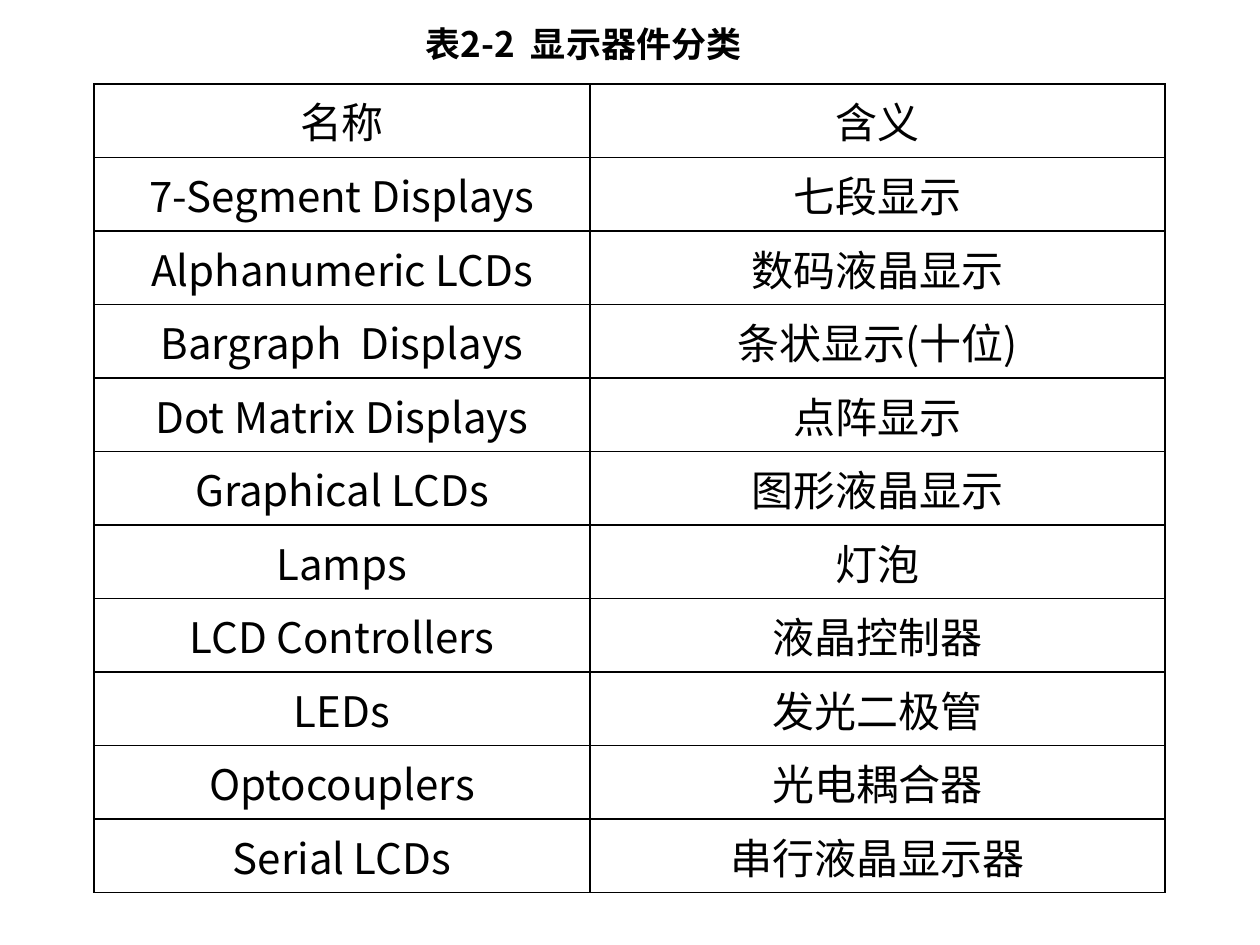
from typing import NamedTuple

from lxml import etree
from pptx import Presentation
from pptx.dml.color import RGBColor
from pptx.enum.text import MSO_ANCHOR, MSO_AUTO_SIZE, PP_ALIGN
from pptx.oxml.ns import qn
from pptx.util import Pt

LEFT, CENTER = PP_ALIGN.LEFT, PP_ALIGN.CENTER
MIDDLE = MSO_ANCHOR.MIDDLE
GROW = MSO_AUTO_SIZE.SHAPE_TO_FIT_TEXT
TITLE_ONLY = 5

PX_PER_INCH = 126
EMU_PER_PX = 914400 / PX_PER_INCH
COLORS = {"ink": "000000", "paper": "FFFFFF"}
FONT = "Noto Sans CJK SC"


class Device(NamedTuple):
    name: str
    meaning: str


CAPTION = "表2-2  显示器件分类"
DEVICES = [
    Device("名称", "含义"),
    Device("7-Segment Displays", "七段显示"),
    Device("Alphanumeric LCDs", "数码液晶显示"),
    Device("Bargraph  Displays", "条状显示(十位)"),
    Device("Dot Matrix Displays", "点阵显示"),
    Device("Graphical LCDs", "图形液晶显示"),
    Device("Lamps", "灯泡"),
    Device("LCD Controllers", "液晶控制器"),
    Device("LEDs", "发光二极管"),
    Device("Optocouplers", "光电耦合器"),
    Device("Serial LCDs", "串行液晶显示器"),
]
COLUMN_WIDTHS = (496, 575)
TABLE_HEIGHT = 809
HANGING_INDENT = 48


def px(length: int) -> int:
    return round(length * EMU_PER_PX)


def apply(target, values: dict) -> None:
    for attribute, value in values.items():
        setattr(target, attribute, value)


def write(paragraph, text: str, align, **font_values) -> None:
    paragraph.alignment = align
    run = paragraph.add_run()
    run.text = text
    apply(run.font, {"name": FONT, **font_values})
    run.font.color.rgb = RGBColor.from_string(COLORS["ink"])
    etree.SubElement(run.font._element, qn("a:ea"), typeface=FONT)


def add_borders(cell) -> None:
    properties = cell._tc.get_or_add_tcPr()
    for position, side in enumerate(("lnL", "lnR", "lnT", "lnB")):
        line = etree.Element(qn(f"a:{side}"), w=str(Pt(1)))
        fill = etree.SubElement(line, qn("a:solidFill"))
        etree.SubElement(fill, qn("a:srgbClr"), val=COLORS["ink"])
        properties.insert(position, line)


def fill_cell(cell, text: str) -> None:
    cell.vertical_anchor = MIDDLE
    cell.fill.background()
    add_borders(cell)
    paragraph = cell.text_frame.paragraphs[0]
    write(paragraph, text, CENTER, size=Pt(24), bold=False)
    indent = px(HANGING_INDENT)
    paragraph._p.pPr.set("marL", str(indent))
    paragraph._p.pPr.set("indent", str(-indent))


def add_caption(slide) -> None:
    caption = slide.shapes.title
    apply(caption, {"left": px(413), "top": px(16), "width": px(382), "height": px(55)})
    apply(caption.text_frame, {"word_wrap": False, "auto_size": GROW, "vertical_anchor": MIDDLE})
    write(caption.text_frame.paragraphs[0], CAPTION, LEFT, size=Pt(20), bold=True)


def add_device_table(slide) -> None:
    table = slide.shapes.add_table(
        len(DEVICES), len(COLUMN_WIDTHS), px(94), px(84),
        px(sum(COLUMN_WIDTHS)), px(TABLE_HEIGHT),
    ).table
    apply(table, {"first_row": False, "horz_banding": False})
    for column, width in zip(table.columns, COLUMN_WIDTHS):
        column.width = px(width)
    for row, device in zip(table.rows, DEVICES):
        row.height = px(TABLE_HEIGHT) // len(DEVICES)
        for cell, text in zip(row.cells, device):
            fill_cell(cell, text)


def main() -> None:
    presentation = Presentation()
    apply(presentation, {"slide_width": px(1260), "slide_height": px(945)})
    slide = presentation.slides.add_slide(presentation.slide_layouts[TITLE_ONLY])
    slide.background.fill.solid()
    slide.background.fill.fore_color.rgb = RGBColor.from_string(COLORS["paper"])
    add_device_table(slide)
    add_caption(slide)
    presentation.save("out.pptx")


if __name__ == "__main__":
    main()
